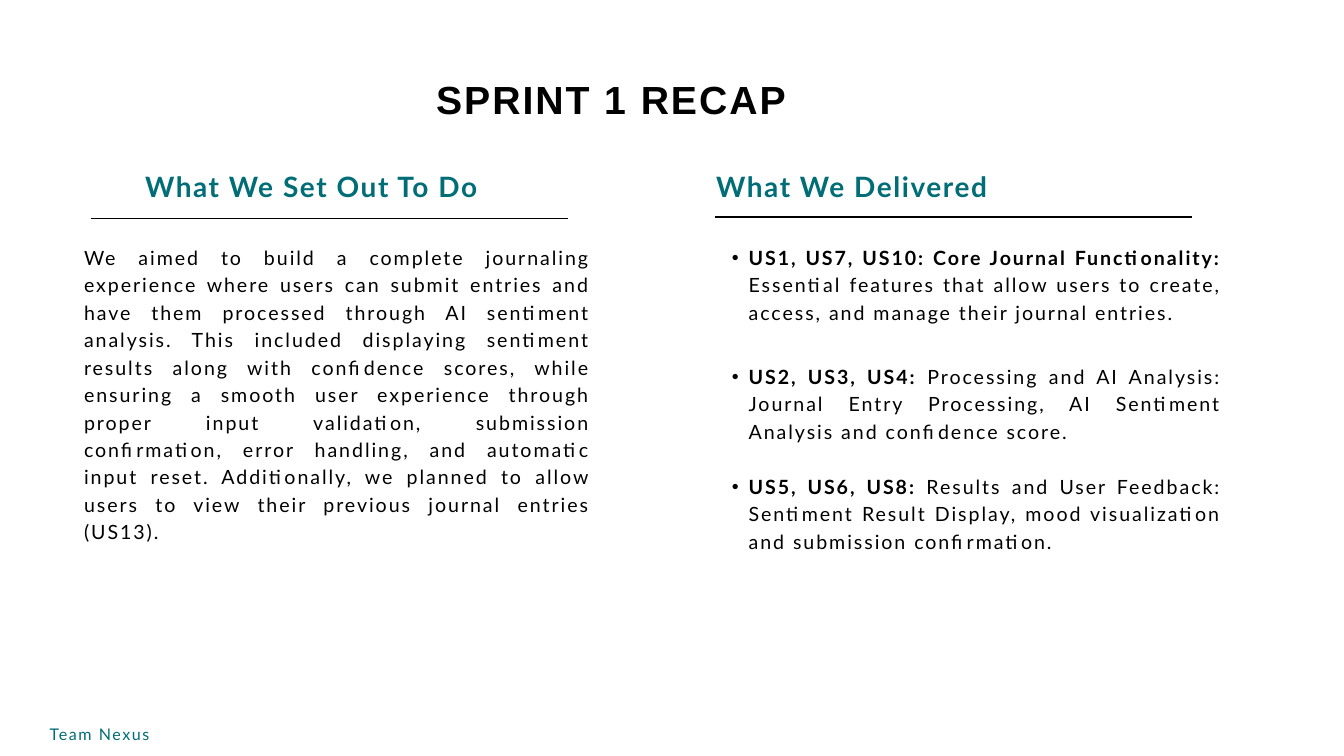
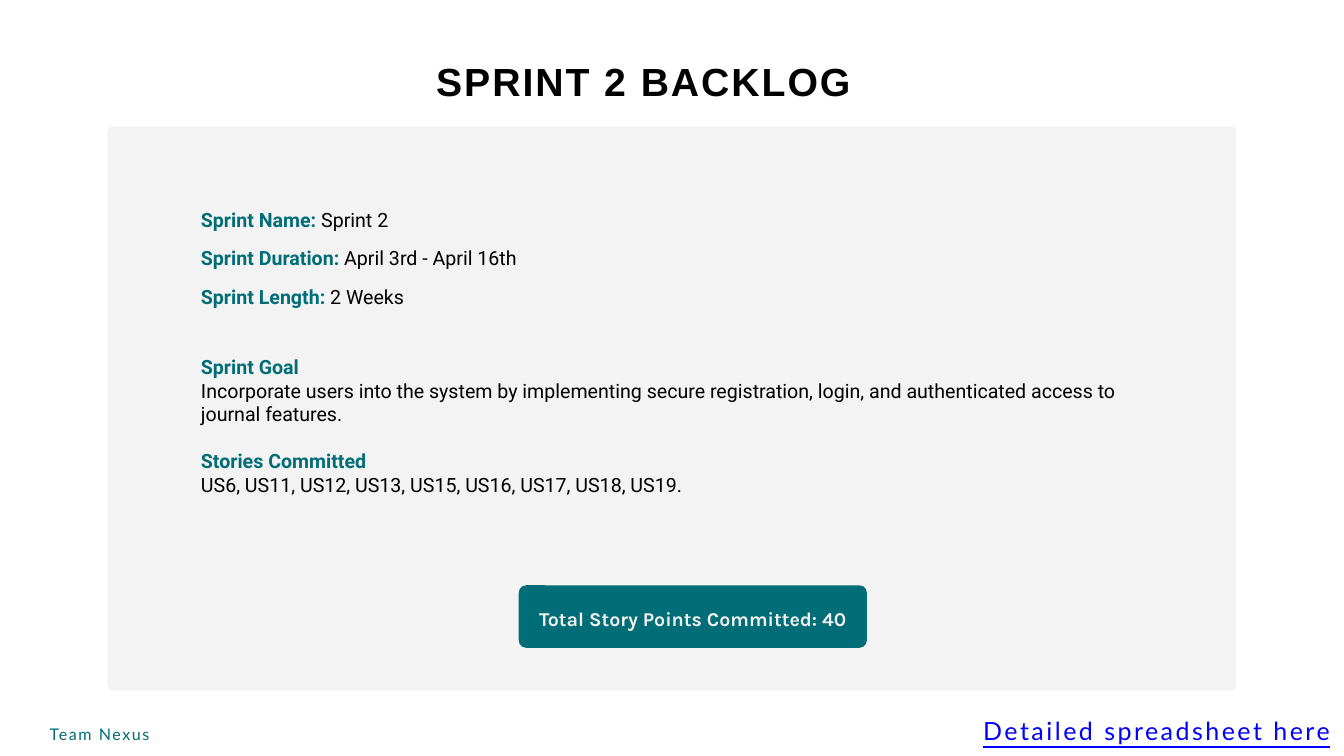
from lxml import etree
from pptx import Presentation
from pptx.dml.color import RGBColor
from pptx.enum.shapes import MSO_CONNECTOR, MSO_SHAPE
from pptx.enum.text import MSO_ANCHOR, MSO_AUTO_SIZE, PP_ALIGN
from pptx.oxml.ns import qn
from pptx.util import Pt

TOP, MIDDLE = MSO_ANCHOR.TOP, MSO_ANCHOR.MIDDLE
LEFT, CENTER, JUSTIFY = PP_ALIGN.LEFT, PP_ALIGN.CENTER, PP_ALIGN.JUSTIFY
NO_AUTOFIT = MSO_AUTO_SIZE.NONE
ROUNDED = MSO_SHAPE.ROUNDED_RECTANGLE
STRAIGHT = MSO_CONNECTOR.STRAIGHT

BLACK = RGBColor(0x00, 0x00, 0x00)
TEAL = RGBColor(0x00, 0x6D, 0x77)
PALE = RGBColor(0xF2, 0xF1, 0xF1)
LINK_BLUE = RGBColor(0x00, 0x00, 0xFF)

SLIDE_SIZE = (1440, 810)
TITLE_LEFT, TITLE_HEIGHT = 467.3, 58.3
FOOTER = ("Team Nexus", (53.3, 772.6, 115.9, 23))
BULLET_MARGIN, BULLET_HANG = 36, 18
RULE_LENGTH = 511.2

STYLES = {
    "title": {"font": {"name": "Arial", "size": Pt(42), "bold": True},
              "color": BLACK, "spacing": 210, "line": 58.8, "align": LEFT},
    "heading": {"font": {"name": "Lato", "size": Pt(30), "bold": True},
                "color": TEAL, "spacing": 170, "line": 40.2, "align": CENTER},
    "body": {"font": {"name": "Lato", "size": Pt(21), "bold": False},
             "color": BLACK, "spacing": 210, "line": 29.4, "align": JUSTIFY},
    "details": {"font": {"name": "Roboto", "size": Pt(21), "bold": False},
                "color": BLACK, "spacing": 0, "line": 25.2, "align": LEFT},
    "total": {"font": {"name": "Karla", "size": Pt(21), "bold": True},
              "color": PALE, "spacing": 0, "line": 29.4, "align": CENTER},
    "footer": {"font": {"name": "Lato", "size": Pt(17.2), "bold": False},
               "color": TEAL, "spacing": 170, "line": 24.1, "align": LEFT},
    "link": {"font": {"name": "Lato", "size": Pt(26.8), "bold": False, "underline": True},
             "color": LINK_BLUE, "spacing": 270, "line": 42.9, "align": CENTER},
}

RECAP_TITLE = ("SPRINT 1 RECAP", 72.7, 450.7)
RECAP_COLUMNS = [
    {"heading": "What We Set Out To Do", "heading_left": 116.6,
     "rule": (97.2, 234), "box": (90, 259.2, 542.9, 350.6), "bulleted": False,
     "paragraphs": [
         {"text": "We aimed to build a complete journaling experience where users can "
                  "submit entries and have them processed through AI sentiment analysis. "
                  "This included displaying sentiment results along with confidence scores, "
                  "while ensuring a smooth user experience through proper input validation, "
                  "submission confirmation, error handling, and automatic input reset. "
                  "Additionally, we planned to allow users to view their previous journal "
                  "entries (US13)."}]},
    {"heading": "What We Delivered", "heading_left": 695.5,
     "rule": (766.1, 232.6), "box": (766.1, 259.2, 542.9, 360.7), "bulleted": True,
     "paragraphs": [
         {"lead": "US1, US7, US10: Core Journal Functionality:",
          "text": " Essential features that allow users to create, access, and manage "
                  "their journal entries."},
         {"lead": "US2, US3, US4:", "before": 39.3,
          "text": " Processing and AI Analysis: Journal Entry Processing, AI Sentiment "
                  "Analysis and confidence score."},
         {"lead": "US5, US6, US8:", "before": 29.4,
          "text": " Results and User Feedback: Sentiment Result Display, mood "
                  "visualization and submission confirmation."}]},
]

BACKLOG_TITLE = ("SPRINT 2 BACKLOG", 53.3, 570.2)
BACKLOG_DETAILS = [
    {"lead": "Sprint Name:", "text": " Sprint 2", "line": 41.2},
    {"lead": "Sprint Duration:", "text": " April 3rd - April 16th", "line": 41.2},
    {"lead": "Sprint Length:", "text": " 2 Weeks", "line": 41.2},
    {"lead": "Sprint Goal", "before": 50.4},
    {"text": "Incorporate users into the system by implementing secure registration, "
             "login, and authenticated access to journal features."},
    {"lead": "Stories Committed", "before": 25.2},
    {"text": "US6, US11, US12, US13, US15, US16, US17, US18, US19."},
]
DETAILS_BOX = (215.3, 206.6, 1008.7, 423.4)
PANEL_BOX, PANEL_CORNER, PANEL_ALPHA = (115.2, 135.4, 1209.6, 604.1), 0.01, 80000
TOTAL = ("Total Story Points Committed: 40", (555.8, 627.1, 373, 67), 0.12)
SPREADSHEET = ("Detailed spreadsheet here", (1051.9, 756, 375.1, 40.3))


def place(shape, box):
    for side, value in zip(("left", "top", "width", "height"), box):
        setattr(shape, side, Pt(value))


def apply(target, values):
    for name, value in values.items():
        setattr(target, name, value)


def set_bullet(paragraph, bulleted):
    properties = paragraph._p.get_or_add_pPr()
    properties.set("marL", str(Pt(BULLET_MARGIN) if bulleted else 0))
    properties.set("indent", str(-Pt(BULLET_HANG) if bulleted else 0))
    if bulleted:
        etree.SubElement(properties, qn("a:buFont")).set("typeface", "Arial")
        etree.SubElement(properties, qn("a:buChar")).set("char", "•")
    else:
        etree.SubElement(properties, qn("a:buNone"))


def add_run(paragraph, text, style, **changes):
    run = paragraph.add_run()
    run.text = text
    apply(run.font, {**style["font"], **changes.get("font", {})})
    run.font.color.rgb = changes.get("color", style["color"])
    run._r.get_or_add_rPr().set("spc", str(style["spacing"]))


def write(shape, style_name, paragraphs, bulleted=False, lead_color=BLACK, anchor=TOP):
    style = STYLES[style_name]
    frame = shape.text_frame
    apply(frame, {"margin_left": 0, "margin_top": 0, "margin_right": 0, "margin_bottom": 0,
                  "word_wrap": True, "auto_size": NO_AUTOFIT, "vertical_anchor": anchor})
    for index, content in enumerate(paragraphs):
        paragraph = frame.add_paragraph() if index else frame.paragraphs[0]
        set_bullet(paragraph, bulleted)
        apply(paragraph, {"alignment": style["align"], "space_after": Pt(0),
                          "space_before": Pt(content.get("before", 0)),
                          "line_spacing": Pt(content.get("line", style["line"]))})
        if "lead" in content:
            add_run(paragraph, content["lead"], style, font={"bold": True}, color=lead_color)
        if "text" in content:
            add_run(paragraph, content["text"], style)


def add_label(slide, style_name, text, box):
    label = slide.shapes.add_textbox(*map(Pt, box))
    write(label, style_name, [{"text": text}])


def add_rule(slide, left, top):
    rule = slide.shapes.add_connector(STRAIGHT, Pt(left), Pt(top), Pt(left + RULE_LENGTH), Pt(top))
    rule.line.color.rgb = BLACK
    rule.line.width = Pt(1.5)
    etree.SubElement(rule.element.spPr, qn("a:effectLst"))


def add_card(slide, box, color, corner):
    card = slide.shapes.add_shape(ROUNDED, *map(Pt, box))
    card.adjustments[0] = corner
    card.shadow.inherit = False
    card.fill.solid()
    card.fill.fore_color.rgb = color
    card.line.fill.background()
    return card


def start_slide(deck, layout_index, title):
    slide = deck.slides.add_slide(deck.slide_layouts[layout_index])
    text, top, width = title
    place(slide.shapes.title, (TITLE_LEFT, top, width, TITLE_HEIGHT))
    write(slide.shapes.title, "title", [{"text": text}])
    for placeholder in list(slide.placeholders):
        if placeholder.placeholder_format.idx >= 10:
            placeholder.element.getparent().remove(placeholder.element)
    add_label(slide, "footer", *FOOTER)
    return slide


def build_recap(deck):
    slide = start_slide(deck, 3, RECAP_TITLE)
    for index, column in enumerate(RECAP_COLUMNS, start=1):
        add_label(slide, "heading", column["heading"], (column["heading_left"], 177.1, 434.2, 39.6))
        add_rule(slide, *column["rule"])
        body = slide.placeholders[index]
        place(body, column["box"])
        write(body, "body", column["paragraphs"], bulleted=column["bulleted"])


def build_backlog(deck):
    slide = start_slide(deck, 1, BACKLOG_TITLE)
    panel = add_card(slide, PANEL_BOX, PALE, PANEL_CORNER)
    panel_color = panel.element.spPr.find(".//" + qn("a:srgbClr"))
    etree.SubElement(panel_color, qn("a:alpha")).set("val", str(PANEL_ALPHA))
    slide.shapes.title.element.addprevious(panel.element)

    details = slide.placeholders[1]
    place(details, DETAILS_BOX)
    write(details, "details", BACKLOG_DETAILS, lead_color=TEAL)

    total_text, total_box, total_corner = TOTAL
    total = add_card(slide, total_box, TEAL, total_corner)
    write(total, "total", [{"text": total_text}], anchor=MIDDLE)
    add_label(slide, "link", *SPREADSHEET)


def main():
    deck = Presentation()
    deck.slide_width, deck.slide_height = map(Pt, SLIDE_SIZE)
    build_recap(deck)
    build_backlog(deck)
    deck.save("out.pptx")


if __name__ == "__main__":
    main()
